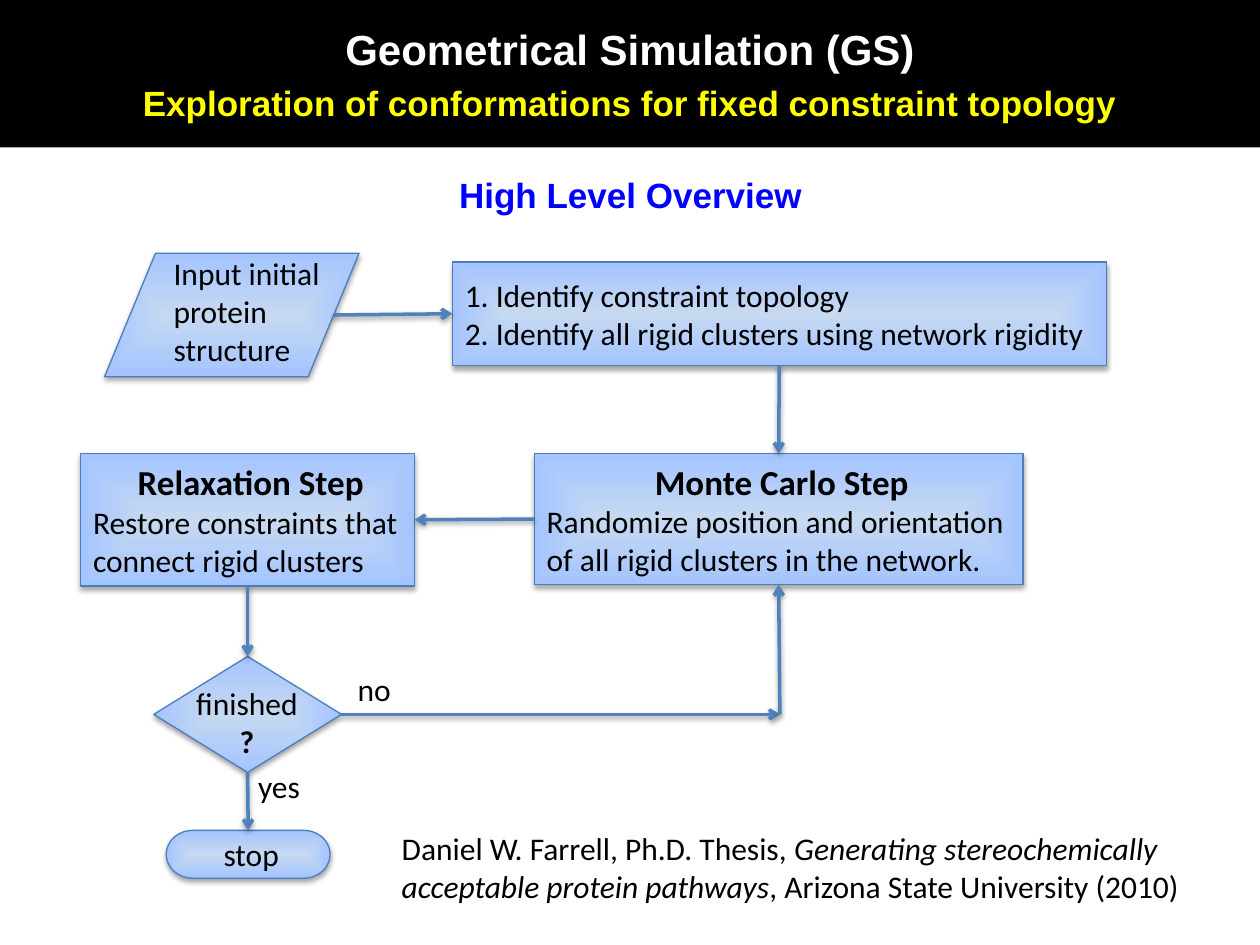
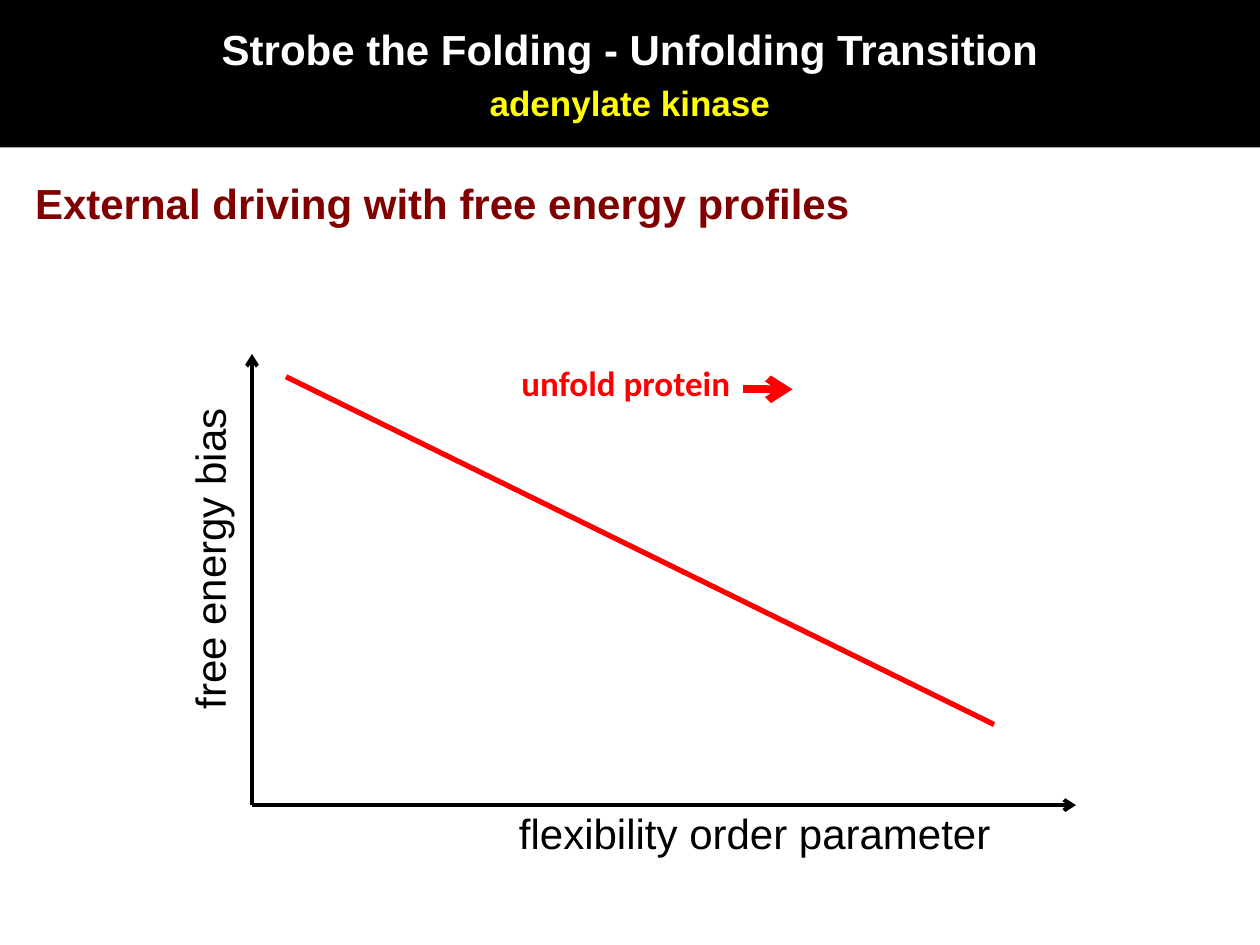
import pptx
import pptx.util
import pptx.dml.color
import pptx.enum.shapes
import pptx.enum.text
import pptx.oxml
import pptx.oxml.ns

COLS, ROWS = 100, 75
CELL = pptx.util.Inches(0.1)
HUES = {
    "black": "000000", "white": "FFFFFF", "yellow": "FFFF00", "blue": "0000FF",
    "maroon": "800000", "red": "FF0000", "steel": "4F81BD", "edge": "4B7EBC",
    "pale": "C6D9F1", "sky": "A4C4FF",
}
KINDS = pptx.enum.shapes.MSO_SHAPE
ALIGN = pptx.enum.text.PP_ALIGN
FIT = pptx.enum.text.MSO_AUTO_SIZE
MIDDLE = pptx.enum.text.MSO_ANCHOR.MIDDLE
TOP, LEFT, BOTTOM, RIGHT = range(4)


def span(*cells):
    """Turn grid cells into lengths."""
    return [round(cell * CELL) for cell in cells]


def hue(name):
    """Give the named colour."""
    return pptx.dml.color.RGBColor.from_string(HUES[name])


def attach(parent, body):
    """Append a drawing element written as XML."""
    space = pptx.oxml.ns.nsdecls("a")
    tag, rest = body[1:].split(" ", 1)
    parent.append(pptx.oxml.parse_xml(f"<{tag} {space} {rest}"))


def shade(shape, drop, alpha):
    """Cast a soft shadow straight down."""
    attach(shape._element.spPr, f'<a:effectLst ><a:outerShdw blurRad="39400" dist="{drop}" '
           f'dir="5400000" rotWithShape="0"><a:srgbClr val="{HUES["black"]}">'
           f'<a:alpha val="{alpha}000"/></a:srgbClr></a:outerShdw></a:effectLst>')


def write(frame, lines, size=18, font="Calibri", color="black", bold=False,
          align=ALIGN.LEFT, gap=0):
    """Fill a frame with lines, each a string or a list of (string, format) runs."""
    for row, line in enumerate(lines):
        para = frame.paragraphs[0] if row == 0 else frame.add_paragraph()
        runs = [(line, {})] if isinstance(line, str) else line
        para.alignment = runs[0][1].get("align", align)
        if row and gap:
            para.space_before = pptx.util.Pt(gap)
        for words, own in runs:
            run = para.add_run()
            run.text = words
            run.font.name = font
            run.font.size = pptx.util.Pt(own.get("size", size))
            run.font.bold = own.get("bold", bold)
            run.font.italic = own.get("italic", False)
            run.font.color.rgb = hue(own.get("color", color))


def label(slide, box, lines, turn=0, **style):
    """Place free text that keeps its own line breaks."""
    shape = slide.shapes.add_textbox(*span(*box))
    shape.rotation = turn
    shape.text_frame.word_wrap = False
    shape.text_frame.auto_size = FIT.SHAPE_TO_FIT_TEXT
    write(shape.text_frame, lines, **style)


def band(slide, title, topic):
    """Draw the black title band."""
    shape = slide.shapes.add_shape(KINDS.RECTANGLE, *span(0, 0, COLS, 11.7))
    shape.shadow.inherit = False
    shape.fill.solid()
    shape.fill.fore_color.rgb = hue("black")
    shape.line.fill.background()
    shape.text_frame.word_wrap = True
    shape.text_frame.vertical_anchor = MIDDLE
    write(shape.text_frame, [title, [(topic, {"size": 20, "color": "yellow"})]],
          size=24, font="Arial", color="white", bold=True, align=ALIGN.CENTER, gap=4)


def node(slide, kind, box, lines=(), **style):
    """Draw a shaded flowchart step."""
    shape = slide.shapes.add_shape(kind, *span(*box))
    stops = "".join(f'<a:gs pos="{pos}"><a:srgbClr val="{HUES[name]}"/></a:gs>'
                    for pos, name in ((0, "pale"), (100000, "sky")))
    attach(shape._element.spPr, f'<a:gradFill rotWithShape="1"><a:gsLst>{stops}</a:gsLst>'
           '<a:path path="shape"><a:fillToRect l="50000" t="50000" r="50000" b="50000"/>'
           '</a:path></a:gradFill>')
    shape.line.color.rgb = hue("edge")
    shape.line.width = pptx.util.Pt(0.75)
    shade(shape, 23000, 35)
    frame = shape.text_frame
    frame.word_wrap = True
    frame.vertical_anchor = MIDDLE
    frame.margin_top = frame.margin_bottom = 0
    frame.margin_right = pptx.util.Inches(0.05)
    write(frame, lines, **style)
    return shape


def link(slide, start, end, color="steel", width=2, arrow=True, shadow=True):
    """Draw a line between points or (shape, side) joints."""
    joints = [isinstance(stop[0], (int, float)) is False for stop in (start, end)]
    spots = [(0, 0) if joint else stop for joint, stop in zip(joints, (start, end))]
    line = slide.shapes.add_connector(pptx.enum.shapes.MSO_CONNECTOR.STRAIGHT,
                                      *span(*spots[0], *spots[1]))
    if joints[0]:
        line.begin_connect(*start)
    if joints[1]:
        line.end_connect(*end)
    line.line.color.rgb = hue(color)
    line.line.width = pptx.util.Pt(width)
    if arrow:
        attach(line.line._get_or_add_ln(), '<a:tailEnd type="arrow"/>')
    if shadow:
        shade(line, 20000, 38)
    else:
        attach(line._element.spPr, "<a:effectLst />")


def flow(slide):
    """Build the flowchart of the simulation."""
    band(slide, "Geometrical Simulation (GS)",
         "Exploration of conformations for fixed constraint topology")
    label(slide, (35.3, 13.3, 29.5, 4.4), ["High Level Overview"], size=20,
          font="Arial", color="blue", bold=True, align=ALIGN.CENTER)
    head = {"size": 20, "bold": True, "align": ALIGN.CENTER}
    step = KINDS.FLOWCHART_PROCESS
    node(slide, KINDS.FLOWCHART_DATA, (8.3, 20.1, 20.2, 9.8))
    label(slide, (12.8, 19.7, 13.7, 10.1), ["Input initial", "protein", "structure"])
    setup = node(slide, step, (35.9, 20.8, 51.9, 8.2), [
        "1. Identify constraint topology",
        "2. Identify all rigid clusters using network rigidity"])
    monte = node(slide, step, (42.4, 36, 38.8, 10.4), [
        [("Monte Carlo Step", head)],
        "Randomize position and orientation",
        "of all rigid clusters in the network."])
    relax = node(slide, step, (6.4, 36, 26.5, 10.5), [
        [("Relaxation Step", head)],
        "Restore constraints that", "connect rigid clusters"])
    check = node(slide, KINDS.FLOWCHART_DECISION, (12.2, 52.1, 14.9, 9.2))
    label(slide, (14.3, 53.8, 10.6, 7.1), ["finished", [("?", {"bold": True})]],
          align=ALIGN.CENTER)
    stop = node(slide, KINDS.FLOWCHART_TERMINATOR, (13.2, 65.9, 13, 3.8), ["stop"],
                align=ALIGN.CENTER)
    turn = (61.9, 56.7)
    for start, end in (
            ((26.5, 25), (setup, LEFT)),
            ((setup, BOTTOM), (monte, TOP)),
            ((monte, LEFT), (relax, RIGHT)),
            ((relax, BOTTOM), (check, TOP)),
            ((check, BOTTOM), (stop, TOP)),
            ((check, RIGHT), turn),
            (turn, (monte, BOTTOM))):
        link(slide, start, end)
    label(slide, (27.4, 52.7, 4.7, 4), ["no"])
    label(slide, (19.5, 60.4, 5.4, 4), ["yes"])
    slant = {"italic": True}
    label(slide, (30.9, 65.3, 68.3, 7.1), [
        [("Daniel W. Farrell, Ph.D. Thesis, ", {}), ("Generating stereochemically", slant)],
        [("acceptable protein pathways", slant), (", Arizona State University (2010)", {})]])


def graph(slide):
    """Build the sketch of the free energy bias."""
    band(slide, "Strobe the Folding - Unfolding Transition", "adenylate kinase")
    label(slide, (1.8, 13.6, 67.3, 5), ["External driving with free energy profiles"],
          size=24, font="Arial", color="maroon", bold=True)
    base = (20, 63.9)
    for tip in ((85.4, base[1]), (base[0], 28.1)):
        link(slide, base, tip, color="black", width=2.25, shadow=False)
    label(slide, (40.2, 63.6, 39.8, 5), ["flexibility order parameter"],
          size=24, font="Arial")
    label(slide, (3.5, 41.7, 26.2, 5), ["free energy bias"], turn=270,
          size=24, font="Arial")
    link(slide, (22.7, 29.9), (78.9, 57.5), color="red", width=3, arrow=False, shadow=False)
    label(slide, (40.4, 28.2, 18.8, 4.4), ["unfold protein"], size=20, color="red", bold=True)
    link(slide, (59, 30.9), (62.9, 30.9), color="red", width=4.5, shadow=False)


def main():
    """Build and save both slides."""
    deck = pptx.Presentation()
    deck.slide_width, deck.slide_height = span(COLS, ROWS)
    for build in (flow, graph):
        build(deck.slides.add_slide(deck.slide_layouts[6]))
    deck.save("out.pptx")


if __name__ == "__main__":
    main()
